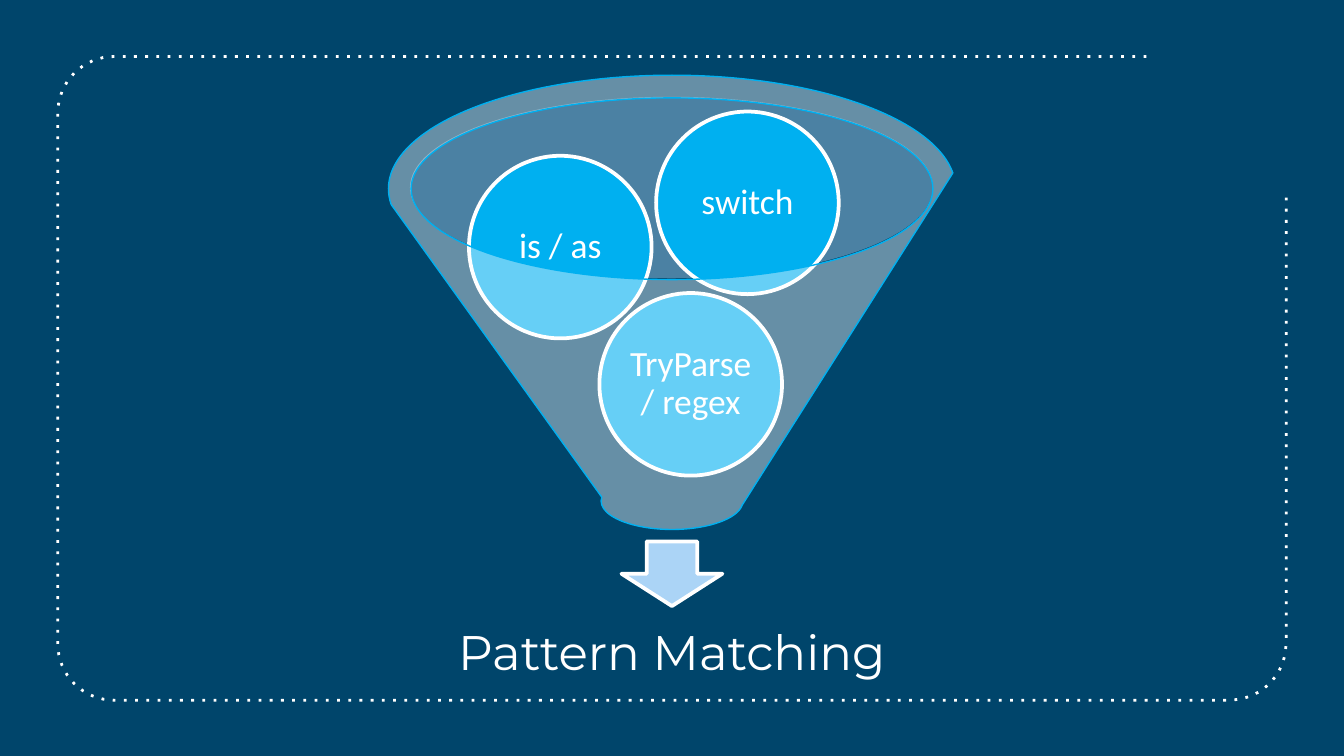
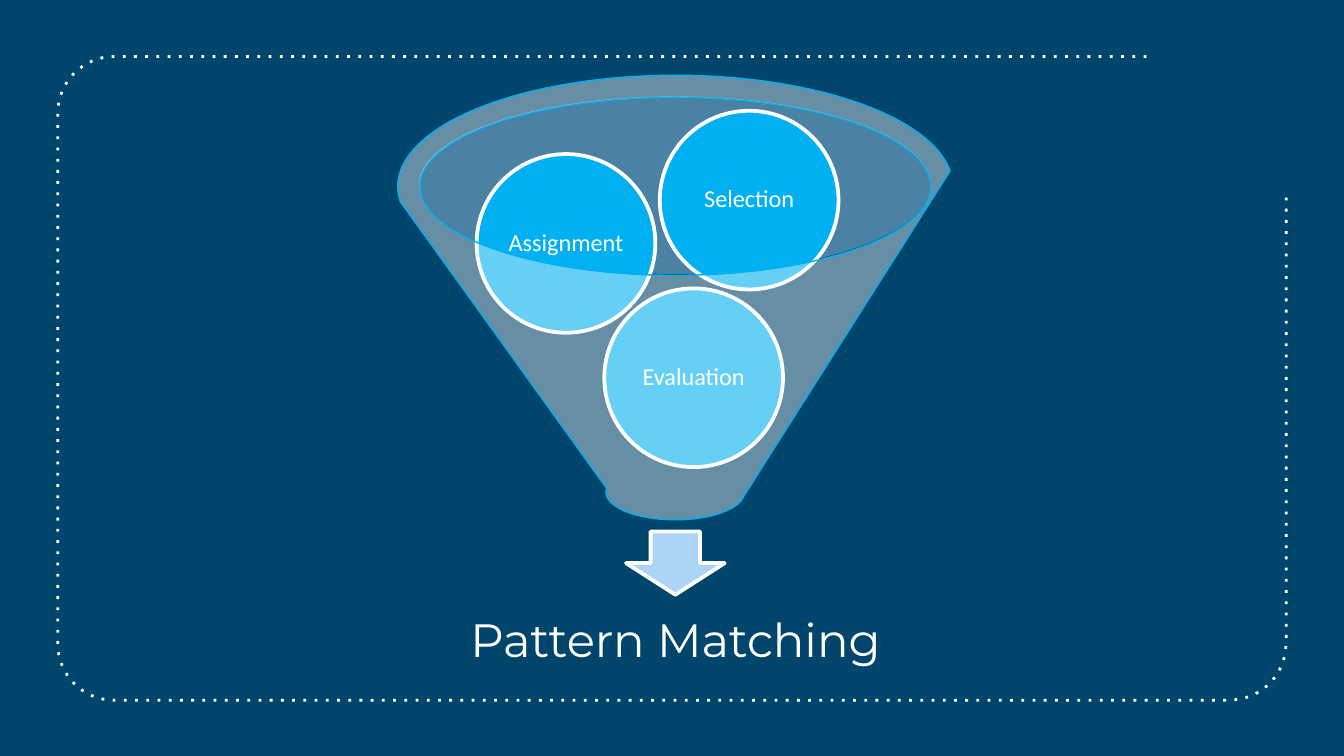
from dataclasses import dataclass
from math import cos, radians, sin

from pptx import Presentation
from pptx.dml.color import RGBColor
from pptx.enum.dml import MSO_LINE
from pptx.enum.shapes import MSO_SHAPE
from pptx.enum.text import MSO_ANCHOR, PP_ALIGN
from pptx.oxml import parse_xml
from pptx.oxml.ns import nsdecls, qn
from pptx.util import Emu, Inches, Pt

ELLIPSE, DOWN_ARROW, FUNNEL = MSO_SHAPE.OVAL, MSO_SHAPE.DOWN_ARROW, MSO_SHAPE.FUNNEL
DOTTED = MSO_LINE.ROUND_DOT
MIDDLE, CENTER = MSO_ANCHOR.MIDDLE, PP_ALIGN.CENTER


@dataclass(frozen=True)
class Theme:
    """Colours, fonts and type sizes of the slides."""
    background: str = "00456B"
    white: str = "FFFFFF"
    ball: str = "00B0F0"
    rim: str = "BDDCF8"
    arrow: str = "ABD4F6"
    opacity: int = 40
    ball_font: str = "Calibri"
    result_font: str = "Montserrat"
    large: int = 19
    small: int = 13
    result_large: int = 26
    result_small: int = 25
    hairline: float = 0.75
    frame_line: float = 1.5
    outline: float = 2


@dataclass(frozen=True)
class Grid:
    """A box divided into 100 columns, with rows as tall as columns are wide."""
    left: int
    top: int
    width: int

    def span(self, count):
        """Return the length of a number of columns or rows."""
        return Emu(round(self.width * count / 100))

    def point(self, column, row):
        """Return the slide position of a grid point."""
        return self.left + self.span(column), self.top + self.span(row)

    def box(self, column, row, columns, rows):
        """Return left, top, width and height of a grid area."""
        return *self.point(column, row), self.span(columns), self.span(rows)


THEME = Theme()
SLIDE_WIDTH, SLIDE_HEIGHT = Inches(10), Inches(5.625)
PAGE = Grid(0, 0, SLIDE_WIDTH)
BALL_SIZE = 32.2
BALL_SPOTS = ((37.2, 38.4), (14.2, 14.2), (47.2, 6.4))
FUNNELS = (
    (PAGE.box(28.9, 5.6, 42.2, 0)[:3], ("TryParse / regex", "is / as", "switch"),
     THEME.large, THEME.result_large),
    (PAGE.box(29.6, 5.6, 41.3, 0)[:3], ("Evaluation", "Assignment", "Selection"),
     THEME.small, THEME.result_small),
)


def paint(shape, fill, line=None, width=0, opacity=100):
    """Give a shape its fill, outline and opacity, without shadow."""
    shape.shadow.inherit = False
    shape.fill.solid()
    shape.fill.fore_color.rgb = RGBColor.from_string(fill)
    if opacity < 100:
        colour = shape.element.spPr.find(".//" + qn("a:srgbClr"))
        colour.append(parse_xml(f'<a:alpha {nsdecls("a")} val="{opacity * 1000}"/>'))
    if line:
        shape.line.color.rgb = RGBColor.from_string(line)
        shape.line.width = Pt(width)
    else:
        shape.line.fill.background()


def write(shape, words, font, size, inset):
    """Write centred white text into a shape."""
    frame = shape.text_frame
    frame.text = words
    frame.word_wrap = True
    frame.vertical_anchor = MIDDLE
    frame.margin_left = frame.margin_right = inset
    frame.margin_top = frame.margin_bottom = inset
    paragraph = frame.paragraphs[0]
    paragraph.alignment = CENTER
    paragraph.line_spacing = 0.9
    letters = paragraph.runs[0].font
    letters.name, letters.size = font, Pt(size)
    letters.color.rgb = RGBColor.from_string(THEME.white)


def corner(column, row, radius, start):
    """Return the points of a counterclockwise quarter circle."""
    angles = [radians(start - 90 * step / 8) for step in range(9)]
    return [PAGE.point(column + radius * cos(a), row + radius * sin(a)) for a in angles]


def draw_frame(slide):
    """Draw the dotted frame that is open at the top right."""
    radius, near, far, high, low = 4.2, 8.5, 91.5, 8.4, 47.9
    outline = [
        *corner(near, high, radius, 270),
        *corner(near, low, radius, 180),
        *corner(far, low, radius, 90),
        PAGE.point(far + radius, 14.6),
    ]
    builder = slide.shapes.build_freeform(*PAGE.point(85.3, high - radius))
    builder.add_line_segments(outline, close=False)
    frame = builder.convert_to_shape()
    paint(frame, THEME.background, THEME.white, THEME.frame_line)
    frame.fill.background()
    frame.line.dash_style = DOTTED
    frame.element.spPr.find(".//" + qn("a:prstDash")).set("val", "dot")


def draw_funnel(slide, grid, topics, topic_size, result_size):
    """Draw three balls in a funnel, with an arrow to the result below."""
    shapes = slide.shapes
    rim = shapes.add_shape(ELLIPSE, *grid.box(3.8, 3.8, 92.2, 32))
    paint(rim, THEME.rim, opacity=THEME.opacity)
    arrow = shapes.add_shape(DOWN_ARROW, *grid.box(41.1, 82.2, 17.8, 11.4))
    paint(arrow, THEME.arrow, THEME.white, THEME.outline)
    result = shapes.add_textbox(*grid.box(7.1, 91.5, 85.8, 21.4))
    write(result, "Pattern Matching", THEME.result_font, result_size, grid.span(4.6))
    for topic, spot in zip(topics, BALL_SPOTS):
        ball = shapes.add_shape(ELLIPSE, *grid.box(*spot, BALL_SIZE, BALL_SIZE))
        paint(ball, THEME.ball, THEME.white, THEME.outline)
        write(ball, topic, THEME.ball_font, topic_size, grid.span(0.6))
    funnel = shapes.add_shape(FUNNEL, *grid.box(0, 0, 100, 80.1))
    paint(funnel, THEME.white, THEME.ball, THEME.hairline, THEME.opacity)


def main():
    """Build and save the slides."""
    deck = Presentation()
    deck.slide_width, deck.slide_height = SLIDE_WIDTH, SLIDE_HEIGHT
    backdrop = deck.slide_master.background.fill
    backdrop.solid()
    backdrop.fore_color.rgb = RGBColor.from_string(THEME.background)
    for place, topics, topic_size, result_size in FUNNELS:
        slide = deck.slides.add_slide(deck.slide_layouts[6])
        draw_frame(slide)
        draw_funnel(slide, Grid(*place), topics, topic_size, result_size)
    deck.save("out.pptx")


if __name__ == "__main__":
    main()
